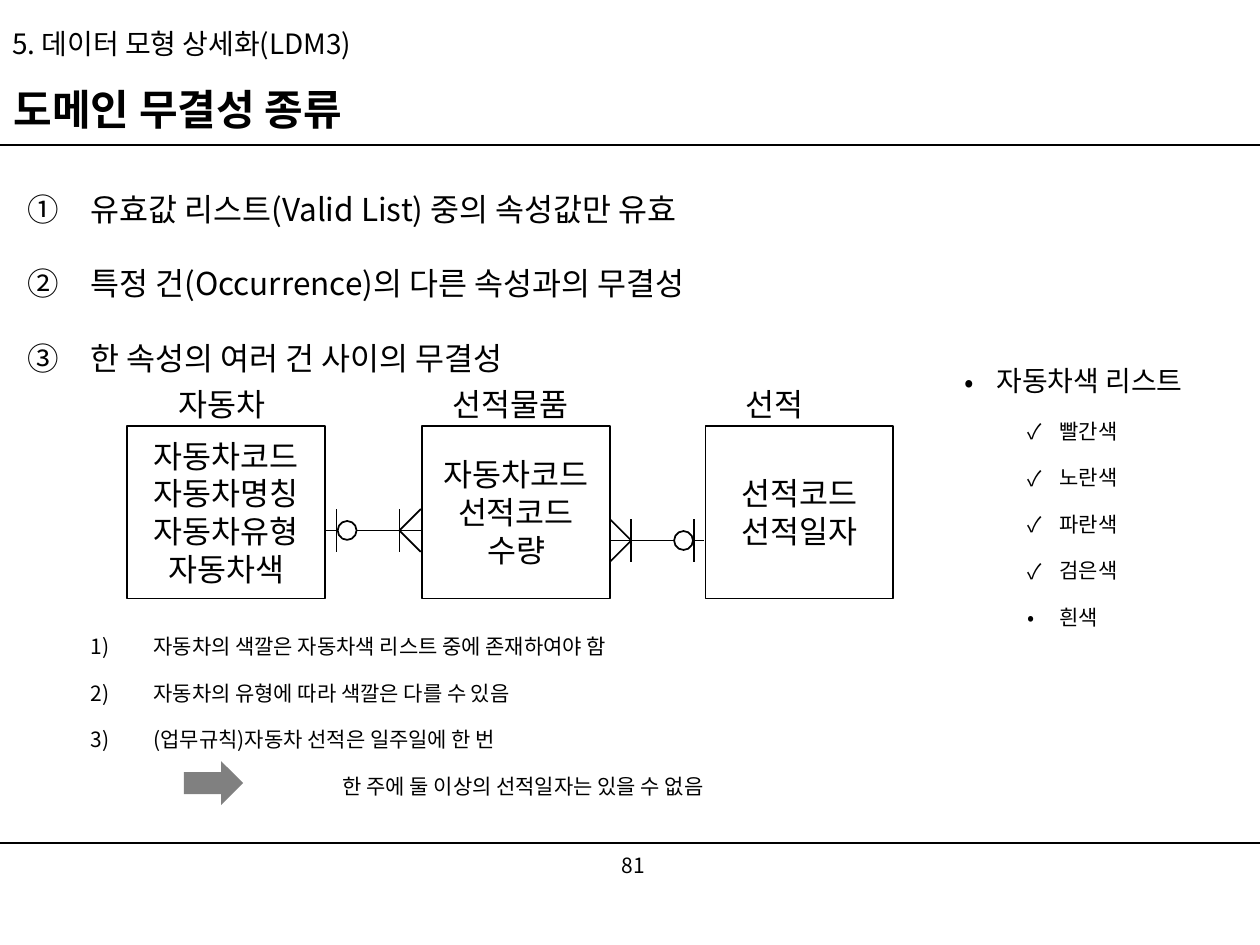
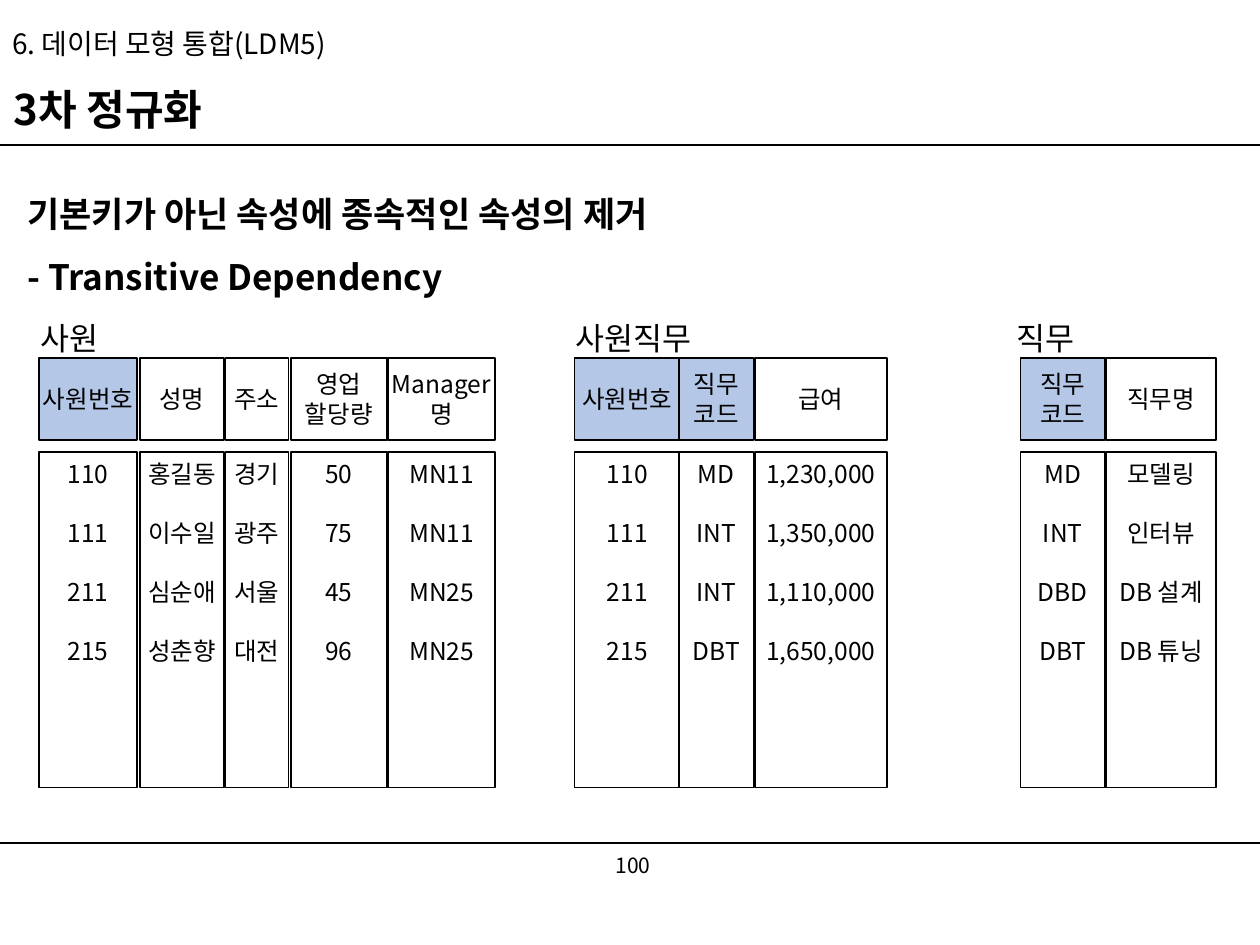
"""Build two data modelling slides: domain integrity and third normal form."""
from lxml import etree
from pptx import Presentation
from pptx.dml.color import RGBColor
from pptx.enum.shapes import MSO_CONNECTOR, MSO_SHAPE
from pptx.enum.text import MSO_ANCHOR, PP_ALIGN
from pptx.oxml.ns import qn
from pptx.util import Inches, Pt

BLACK = RGBColor(0x00, 0x00, 0x00)
WHITE = RGBColor(0xFF, 0xFF, 0xFF)
GRAY = RGBColor(0x80, 0x80, 0x80)
KEY_BLUE = RGBColor(0xB4, 0xC7, 0xE7)
FONT = "Noto Sans CJK KR"
STRAIGHT = MSO_CONNECTOR.STRAIGHT
RECTANGLE, OVAL, RIGHT_ARROW = MSO_SHAPE.RECTANGLE, MSO_SHAPE.OVAL, MSO_SHAPE.RIGHT_ARROW
LEFT, CENTER = PP_ALIGN.LEFT, PP_ALIGN.CENTER
TOP, MIDDLE = MSO_ANCHOR.TOP, MSO_ANCHOR.MIDDLE

SLIDE_WIDTH = 10
LABEL_HEIGHT = 0.4
ENTITY_TOP, ENTITY_HEIGHT = 3.38, 1.37
HEADER_TOP, HEADER_HEIGHT = 2.84, 0.65
COLUMN_TOP, COLUMN_HEIGHT = 3.59, 2.66
BODY_BOX = (0.12, 1.31, 9.76, 5.2)

ENTITIES = [
    ((1.01, 1.57), (1.32, 0.96), "자동차", ["자동차코드", "자동차명칭", "자동차유형", "자동차색"]),
    ((3.35, 1.49), (3.49, 1.21), "선적물품", ["자동차코드", "선적코드", "수량"]),
    ((5.6, 1.49), (5.82, 0.71), "선적", ["선적코드", "선적일자"]),
]
INTEGRITY_KINDS = [
    "유효값 리스트(Valid List) 중의 속성값만 유효",
    "특정 건(Occurrence)의 다른 속성과의 무결성",
    "한 속성의 여러 건 사이의 무결성",
]
EXAMPLES = [
    "자동차의 색깔은 자동차색 리스트 중에 존재하여야 함",
    "자동차의 유형에 따라 색깔은 다를 수 있음",
    "(업무규칙)자동차 선적은 일주일에 한 번",
]
COLORS = [("빨간색", "✓"), ("노란색", "✓"), ("파란색", "✓"), ("검은색", "✓"), ("흰색", "•")]

EMPLOYEE_NUMBERS = ["110", "111", "211", "215"]
TABLES = [
    ("사원", 0.22, 0.71, [
        (0.31, 0.78, ["사원번호"], True, EMPLOYEE_NUMBERS),
        (1.11, 0.67, ["성명"], False, ["홍길동", "이수일", "심순애", "성춘향"]),
        (1.79, 0.5, ["주소"], False, ["경기", "광주", "서울", "대전"]),
        (2.31, 0.76, ["영업", "할당량"], False, ["50", "75", "45", "96"]),
        (3.08, 0.85, ["Manager", "명"], False, ["MN11", "MN11", "MN25", "MN25"]),
    ]),
    ("사원직무", 4.47, 1.21, [
        (4.56, 0.84, ["사원번호"], True, EMPLOYEE_NUMBERS),
        (5.99, 1.05, ["급여"], False, ["1,230,000", "1,350,000", "1,110,000", "1,650,000"]),
        (5.39, 0.59, ["직무", "코드"], True, ["MD", "INT", "INT", "DBT"]),
    ]),
    ("직무", 7.97, 0.71, [
        (8.1, 0.67, ["직무", "코드"], True, ["MD", "INT", "DBD", "DBT"]),
        (8.78, 0.87, ["직무명"], False, ["모델링", "인터뷰", "DB 설계", "DB 튜닝"]),
    ]),
]


def add_bullet(para, margin, hang, char=None, numbering=None):
    """Indent a paragraph and give it a bullet character or automatic number."""
    props = para._p.get_or_add_pPr()
    props.set("marL", str(Inches(margin)))
    props.set("indent", str(-Inches(hang)))
    if numbering:
        etree.SubElement(props, qn("a:buFont"), typeface=FONT)
        etree.SubElement(props, qn("a:buAutoNum"), type=numbering)
    elif char:
        etree.SubElement(props, qn("a:buFont"), typeface=FONT)
        etree.SubElement(props, qn("a:buChar"), char=char)
    else:
        etree.SubElement(props, qn("a:buNone"))


def add_para(frame, text, size=18, bold=False, align=LEFT, spacing=None, before=0,
             level=0, bullet=None):
    """Write one formatted paragraph, filling the empty first one if it is free."""
    first = not frame.text
    para = frame.paragraphs[0] if first else frame.add_paragraph()
    if bullet:
        add_bullet(para, **bullet)
    para.text = text
    para.level = level
    para.alignment = align
    if spacing:
        para.line_spacing = spacing
    para.space_before = Pt(0 if first else before)
    for span in para.runs:
        span.font.size = Pt(size)
        span.font.bold = bold
        span.font.color.rgb = BLACK
        span.font.name = FONT
        etree.SubElement(span._r.get_or_add_rPr(), qn("a:ea"), typeface=FONT)


def add_box(slide, box, lines=(), anchor=TOP, wrap=True, **text_format):
    """Add a text box holding equally formatted lines and return its frame."""
    frame = slide.shapes.add_textbox(*map(Inches, box)).text_frame
    frame.word_wrap = wrap
    frame.vertical_anchor = anchor
    for line in lines:
        add_para(frame, line, **text_format)
    return frame


def add_figure(slide, kind, box, fill=WHITE, outlined=True):
    """Add a preset shape with a plain fill and, if wanted, a black outline."""
    shape = slide.shapes.add_shape(kind, *map(Inches, box))
    shape.shadow.inherit = False
    shape.fill.solid()
    shape.fill.fore_color.rgb = fill
    if outlined:
        shape.line.color.rgb = BLACK
        shape.line.width = Pt(1)
    else:
        shape.line.fill.background()
    return shape


def add_cell(slide, box, lines, fill=WHITE, anchor=MIDDLE, **text_format):
    """Add an outlined rectangle with centred, unwrapped lines."""
    frame = add_figure(slide, RECTANGLE, box, fill).text_frame
    frame.word_wrap = False
    frame.vertical_anchor = anchor
    for line in lines:
        add_para(frame, line, align=CENTER, **text_format)


def add_line(slide, start, end, width=1):
    """Draw a straight black line between two points."""
    line = slide.shapes.add_connector(STRAIGHT, *map(Inches, (*start, *end)))
    line.line.color.rgb = BLACK
    line.line.width = Pt(width)
    etree.SubElement(line._element.spPr, qn("a:effectLst"))


def add_label(slide, left, top, width, text):
    """Name an entity or table above its boxes."""
    add_box(slide, (left, top, width, LABEL_HEIGHT), [text], wrap=False)


def add_relation(slide, many_x, one_x, y):
    """Draw a crow's foot relation from its many end to its optional one end."""
    step = 1 if one_x > many_x else -1
    reach, diameter = 0.17, 0.15
    foot_x, bar_x = many_x + step * reach, one_x - step * 0.08
    circle_x = one_x - step * 0.165
    add_line(slide, (many_x, y), (one_x, y))
    for x in (foot_x, bar_x):
        add_line(slide, (x, y - reach), (x, y + reach))
    for toe_y in (y - reach, y + reach):
        add_line(slide, (many_x, toe_y), (foot_x, y))
    add_figure(slide, OVAL, (circle_x - diameter / 2, y - diameter / 2, diameter, diameter))


def add_page(deck, chapter, title, number):
    """Add a slide with its chapter, title, two rules and page number."""
    page = deck.slides.add_slide(deck.slide_layouts[6])
    for y in (1.15, 6.69):
        add_line(page, (0, y), (SLIDE_WIDTH, y), width=0.75)
    add_box(page, (3.9, 6.67, 2.25, 0.4), [number], anchor=MIDDLE, size=12, align=CENTER)
    add_box(page, (0, 0.1, SLIDE_WIDTH, 0.52), [chapter], anchor=MIDDLE, size=16, spacing=0.9)
    add_box(page, (0.01, 0.63, 9.76, 0.52), [title], anchor=MIDDLE, size=24, bold=True,
            spacing=0.9)
    return page


def add_integrity_text(page):
    """List the kinds of integrity, then the examples below the diagram."""
    frame = add_box(page, BODY_BOX)
    for kind in INTEGRITY_KINDS:
        add_para(frame, kind, spacing=1.5, before=10,
                 bullet=dict(margin=0.5, hang=0.5, numbering="circleNumDbPlain"))
    small = dict(size=12, level=1, spacing=1.5)
    for index, example in enumerate(EXAMPLES):
        add_para(frame, example, before=5 if index else 140, **small,
                 bullet=dict(margin=1, hang=0.5, numbering="arabicParenR"))
    add_para(frame, "한 주에 둘 이상의 선적일자는 있을 수 없음", before=5, **small,
             bullet=dict(margin=2.5, hang=0))
    add_figure(page, RIGHT_ARROW, (1.46, 6.04, 0.47, 0.35), GRAY, outlined=False)


def add_color_list(page):
    """List the valid car colours beside the diagram."""
    frame = add_box(page, (7.56, 2.7, 2.18, 2.62))
    add_para(frame, "자동차색 리스트", size=16, spacing=1.5,
             bullet=dict(margin=0.25, hang=0.25, char="•"))
    for color, mark in COLORS:
        add_para(frame, color, size=12, level=1, spacing=1.5, before=5,
                 bullet=dict(margin=0.75, hang=0.25, char=mark))


def add_table_columns(page, name, label_left, label_width, columns):
    """Draw a relational table as header cells above tall value columns."""
    for left, width, header, is_key, values in columns:
        add_cell(page, (left, HEADER_TOP, width, HEADER_HEIGHT), header,
                 fill=KEY_BLUE if is_key else WHITE, size=14)
        add_cell(page, (left, COLUMN_TOP, width, COLUMN_HEIGHT), values,
                 anchor=TOP, size=14, before=17)
    add_label(page, label_left, 2.48, label_width, name)


def build_integrity_page(deck):
    """Build the slide on the kinds of domain integrity."""
    page = add_page(deck, "5. 데이터 모형 상세화(LDM3)", "도메인 무결성 종류", "81")
    add_integrity_text(page)
    for (left, width), (label_left, label_width), name, attributes in ENTITIES:
        add_cell(page, (left, ENTITY_TOP, width, ENTITY_HEIGHT), attributes)
        add_label(page, label_left, 3.01, label_width, name)
    add_relation(page, many_x=3.34, one_x=2.59, y=4.21)
    add_relation(page, many_x=4.84, one_x=5.59, y=4.29)
    add_color_list(page)


def build_normalization_page(deck):
    """Build the slide on third normal form."""
    page = add_page(deck, "6. 데이터 모형 통합(LDM5)", "3차 정규화", "100")
    add_box(page, BODY_BOX, ["기본키가 아닌 속성에 종속적인 속성의 제거\v- Transitive Dependency"],
            size=20, bold=True, spacing=1.5)
    for table in TABLES:
        add_table_columns(page, *table)


def main():
    """Build and save the deck."""
    deck = Presentation()
    deck.slide_width, deck.slide_height = Inches(SLIDE_WIDTH), Inches(7.5)
    build_integrity_page(deck)
    build_normalization_page(deck)
    deck.save("out.pptx")


if __name__ == "__main__":
    main()
